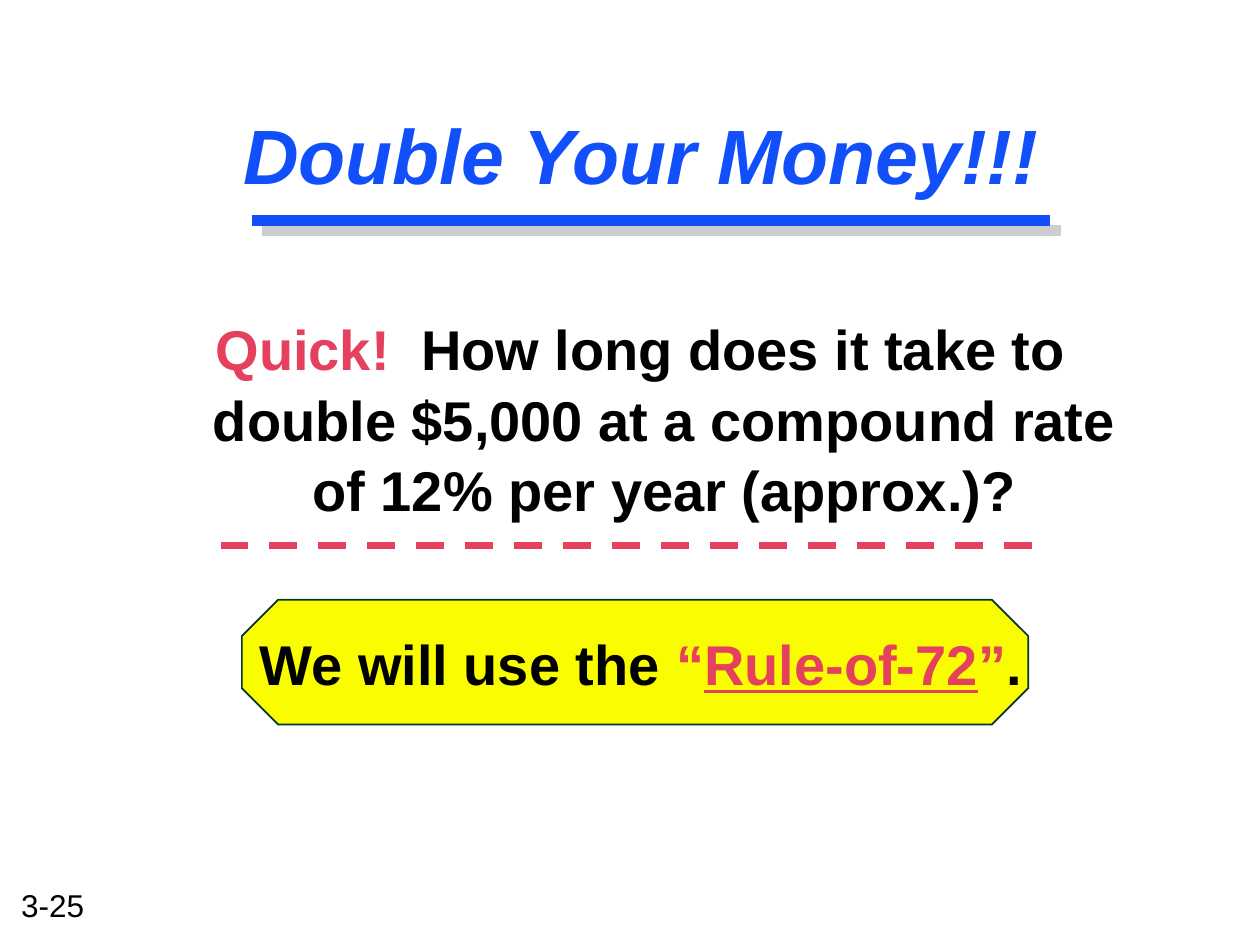
from pptx import Presentation
from pptx.dml.color import RGBColor
from pptx.enum.dml import MSO_LINE
from pptx.enum.shapes import MSO_CONNECTOR, MSO_SHAPE
from pptx.enum.text import MSO_ANCHOR, MSO_AUTO_SIZE, PP_ALIGN
from pptx.oxml.ns import qn
from pptx.util import Inches, Pt
from lxml.etree import SubElement

BLACK = RGBColor(0x00, 0x00, 0x00)
BLUE = RGBColor(0x11, 0x4F, 0xFB)
RED = RGBColor(0xE5, 0x40, 0x5D)
GRAY = RGBColor(0xCE, 0xCE, 0xCE)
YELLOW = RGBColor(0xFA, 0xFD, 0x00)
DARK_GREEN = RGBColor(0x00, 0x35, 0x30)


def place(shape, left, top, width, height):
    box = {"left": left, "top": top, "width": width, "height": height}
    for name, value in box.items():
        setattr(shape, name, Inches(value))
    shape.text_frame.auto_size = MSO_AUTO_SIZE.NONE


def add_run(paragraph, text, color, **formats):
    run = paragraph.add_run()
    run.text = text
    run.font.color.rgb = color
    for name, value in {"name": "Arial", **formats}.items():
        setattr(run.font, name, value)
    return run


presentation = Presentation()
presentation.slide_width = Inches(10)
presentation.slide_height = Inches(7.5)
slide = presentation.slides.add_slide(presentation.slide_layouts[3])
title, question, answer = list(slide.placeholders)[:3]
for placeholder in list(slide.placeholders)[3:]:
    placeholder.element.getparent().remove(placeholder.element)

number = slide.shapes.add_textbox(Inches(0.07), Inches(6.98), Inches(0.73), Inches(0.4))
number.text_frame.word_wrap = False
add_run(number.text_frame.paragraphs[0], "3-25", BLACK, size=Pt(18))

octagon = slide.shapes.add_shape(
    MSO_SHAPE.OCTAGON, Inches(1.92), Inches(4.76), Inches(6.24), Inches(0.99)
)
octagon.adjustments[0] = 0.29
octagon.shadow.inherit = False
octagon.fill.solid()
octagon.fill.fore_color.rgb = YELLOW
octagon.line.color.rgb = DARK_GREEN
octagon.line.width = Pt(1)

rules = [
    (2.08, 8.42, 1.83, GRAY, 6, None),
    (2, 8.33, 1.75, BLUE, 6, None),
    (1.75, 8.33, 4.33, RED, 4, MSO_LINE.DASH),
]
for start, end, top, color, width, dash in rules:
    rule = slide.shapes.add_connector(
        MSO_CONNECTOR.STRAIGHT, Inches(start), Inches(top), Inches(end), Inches(top)
    )
    rule.line.color.rgb = color
    rule.line.width = Pt(width)
    rule.line.dash_style = dash
    SubElement(rule.element.spPr, qn("a:effectLst"))

place(title, 1.83, 0.52, 7.42, 1.4)
title.text_frame.vertical_anchor = MSO_ANCHOR.MIDDLE
heading = title.text_frame.paragraphs[0]
heading.alignment = PP_ALIGN.LEFT
run = add_run(heading, "Double Your Money!!!", BLUE, size=Pt(44), bold=True, italic=True)
effects = run.font.fill._xPr.makeelement(qn("a:effectLst"), {})
run.font.fill._xPr.find(qn("a:solidFill")).addnext(effects)
shadow = SubElement(effects, qn("a:outerShdw"), dist="50800", dir="2700000", algn="tl")
SubElement(shadow, qn("a:srgbClr"), val=str(GRAY))

bodies = [
    (question, (1.17, 2.42, 7.83, 1.5), 6.4, [
        ("Quick!  ", RED, False),
        ("How long does it take to double $5,000 at a compound rate of 12% per year (approx.)?",
         BLACK, False),
    ]),
    (answer, (0.92, 4.92, 8.33, 0.83), 24, [
        ("We will use the ", BLACK, False),
        ("“", RED, False),
        ("Rule-of-72", RED, True),
        ("”", RED, False),
        (".", BLACK, False),
    ]),
]
for body, box, space_after, runs in bodies:
    place(body, *box)
    paragraph = body.text_frame.paragraphs[0]
    properties = paragraph._p.get_or_add_pPr()
    properties.set("marL", str(Inches(0.38)))
    properties.set("indent", str(-Inches(0.38)))
    SubElement(properties, qn("a:buNone"))
    formats = {
        "alignment": PP_ALIGN.CENTER,
        "line_spacing": 1.05,
        "space_before": Pt(0),
        "space_after": Pt(space_after),
    }
    for name, value in formats.items():
        setattr(paragraph, name, value)
    for text, color, underline in runs:
        add_run(paragraph, text, color, size=Pt(32), bold=True, underline=underline)

for placeholder in (title, question, answer):
    placeholder.element.getparent().append(placeholder.element)

presentation.save("out.pptx")
